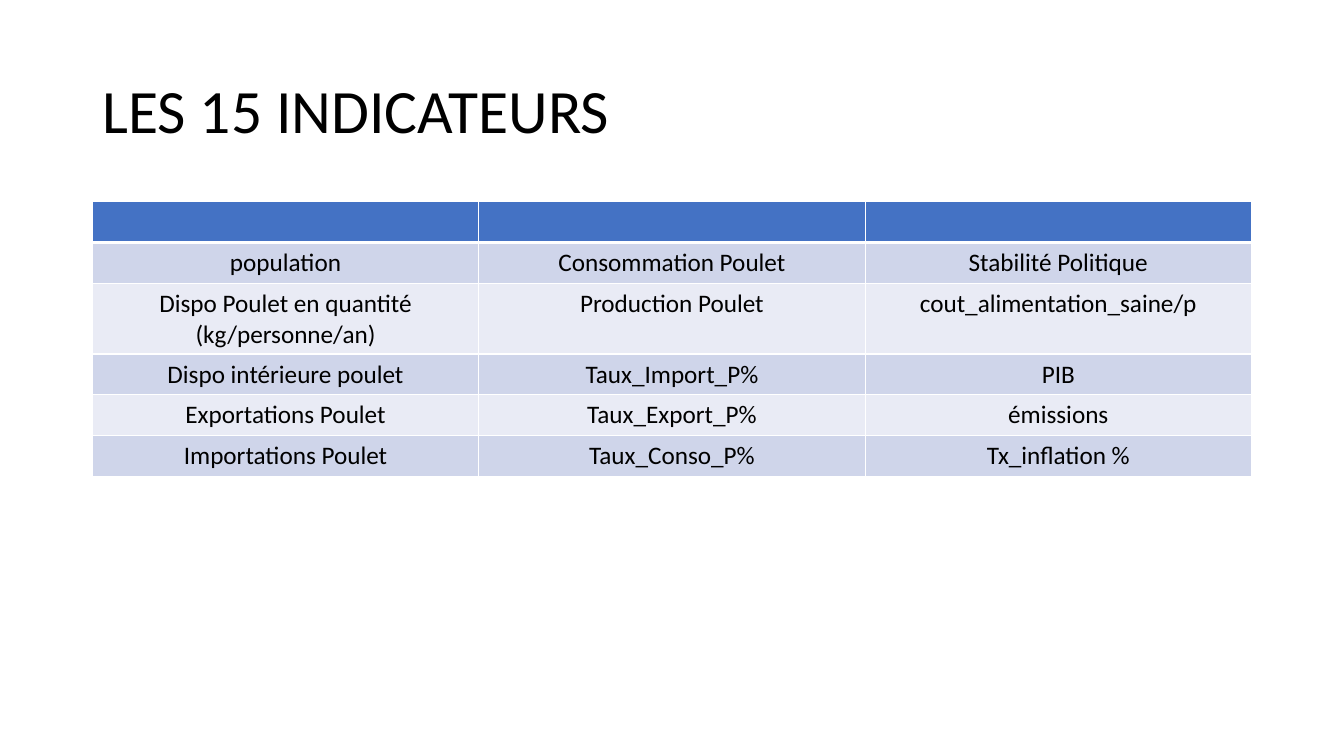
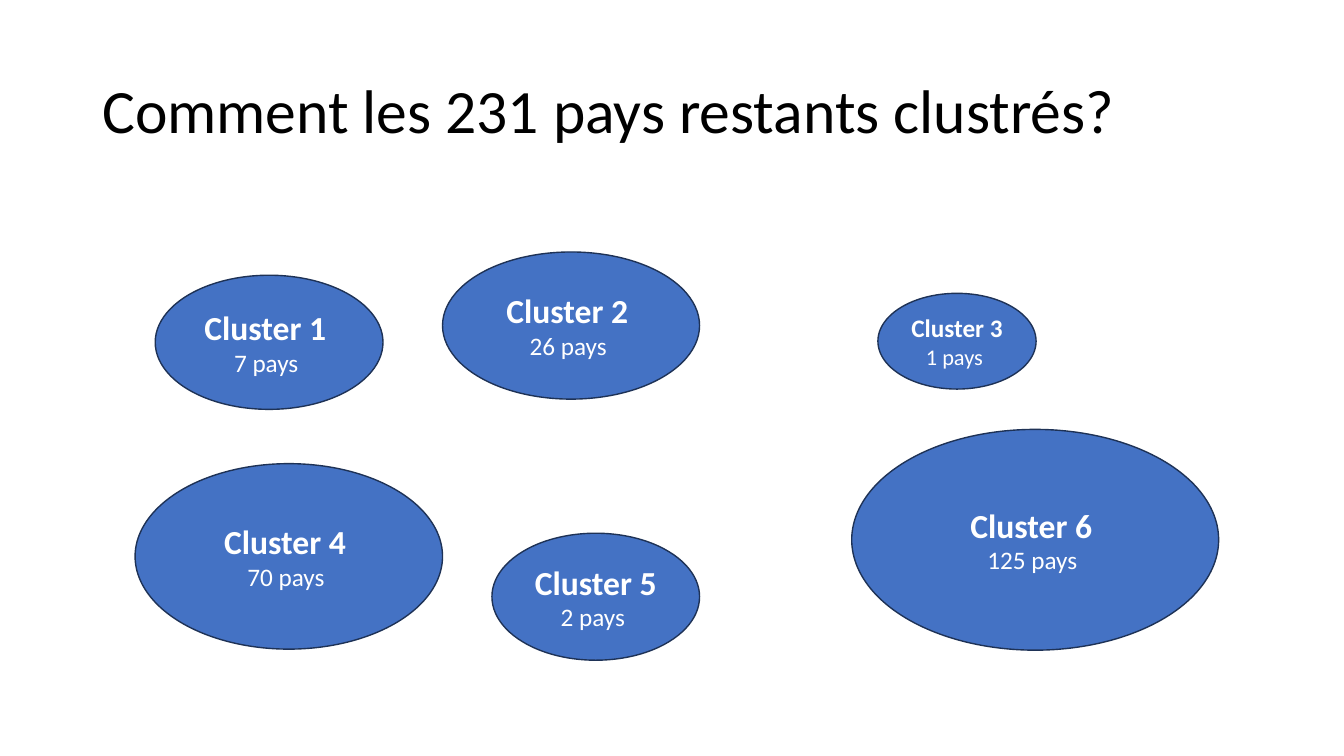
from lxml import etree
from pptx import Presentation
from pptx.dml.color import RGBColor
from pptx.enum.shapes import MSO_SHAPE
from pptx.enum.text import MSO_ANCHOR, PP_ALIGN
from pptx.oxml.ns import qn
from pptx.util import Pt

FONT = "Calibri"
COLORS = {
    "blue": "4472C4",
    "navy": "1E3256",
    "band_dark": "CFD5EA",
    "band_light": "E9EBF5",
    "white": "FFFFFF",
    "black": "000000",
}
LEFT, WIDTH = 66, 828


def add_run(p, text, size, color, bold=False):
    r = p.add_run()
    r.text = text
    r.font.name = FONT
    r.font.size = Pt(size)
    r.font.bold = bold
    r.font.color.rgb = RGBColor.from_string(COLORS[color])


def add_titled_slide(prs, title):
    s = prs.slides.add_slide(prs.slide_layouts[6])
    tf = s.shapes.add_textbox(Pt(LEFT), Pt(28.8), Pt(WIDTH), Pt(104.4)).text_frame
    tf.word_wrap = True
    tf.vertical_anchor = MSO_ANCHOR.MIDDLE
    p = tf.paragraphs[0]
    p.line_spacing = 0.9
    add_run(p, title, 44, "black")
    return s


prs = Presentation()
prs.slide_width, prs.slide_height = Pt(960), Pt(540)

s = add_titled_slide(prs, "LES 15 INDICATEURS")
rows = [
    ("", "", ""),
    ("population", "Consommation Poulet", "Stabilité Politique"),
    ("Dispo Poulet en quantité (kg/personne/an)", "Production Poulet", "cout_alimentation_saine/p"),
    ("Dispo intérieure poulet", "Taux_Import_P%", "PIB"),
    ("Exportations Poulet", "Taux_Export_P%", "émissions"),
    ("Importations Poulet", "Taux_Conso_P%", "Tx_inflation %"),
]
row_height = 29.2
table = s.shapes.add_table(
    len(rows), 3, Pt(LEFT), Pt(144), Pt(WIDTH), Pt(row_height * len(rows))
).table
for i, row in enumerate(rows):
    table.rows[i].height = Pt(row_height)
    fill = "blue" if i == 0 else ("band_light", "band_dark")[i % 2]
    for j, text in enumerate(row):
        cell = table.cell(i, j)
        tcPr = cell._tc.get_or_add_tcPr()
        for side in ("lnL", "lnR", "lnT", "lnB"):
            thick = (i == 0 and side == "lnB") or (i == 1 and side == "lnT")
            ln = etree.SubElement(tcPr, qn(f"a:{side}"), w=str(Pt(3 if thick else 1)))
            solid = etree.SubElement(ln, qn("a:solidFill"))
            etree.SubElement(solid, qn("a:srgbClr"), val=COLORS["white"])
        cell.fill.solid()
        cell.fill.fore_color.rgb = RGBColor.from_string(COLORS[fill])
        if text:
            p = cell.text_frame.paragraphs[0]
            p.alignment = PP_ALIGN.CENTER
            add_run(p, text, 18, "black")

s = add_titled_slide(prs, "Comment les 231 pays restants clustrés?")
clusters = [
    (7, 110.9, 196.6, 162.7, 95.8, 24, 18),
    (26, 316.1, 180, 183.6, 105.1, 24, 18),
    (1, 627.1, 209.5, 113, 68.4, 18, 16),
    (70, 96.5, 331.2, 219.6, 132.5, 24, 18),
    (2, 351.4, 380.9, 148.3, 90.7, 24, 18),
    (125, 608.4, 306.7, 262.1, 157.7, 24, 18),
]
for n, (count, x, y, w, h, name_size, count_size) in enumerate(clusters, 1):
    sp = s.shapes.add_shape(MSO_SHAPE.OVAL, Pt(x), Pt(y), Pt(w), Pt(h))
    sp.shadow.inherit = False
    sp.fill.solid()
    sp.fill.fore_color.rgb = RGBColor.from_string(COLORS["blue"])
    sp.line.color.rgb = RGBColor.from_string(COLORS["navy"])
    sp.line.width = Pt(1)
    tf = sp.text_frame
    tf.word_wrap = True
    tf.vertical_anchor = MSO_ANCHOR.MIDDLE
    p = tf.paragraphs[0]
    p.alignment = PP_ALIGN.CENTER
    add_run(p, f"Cluster {n} ", name_size, "white", bold=True)
    p = tf.add_paragraph()
    p.alignment = PP_ALIGN.CENTER
    add_run(p, f"{count} pays ", count_size, "white")

prs.save("out.pptx")
